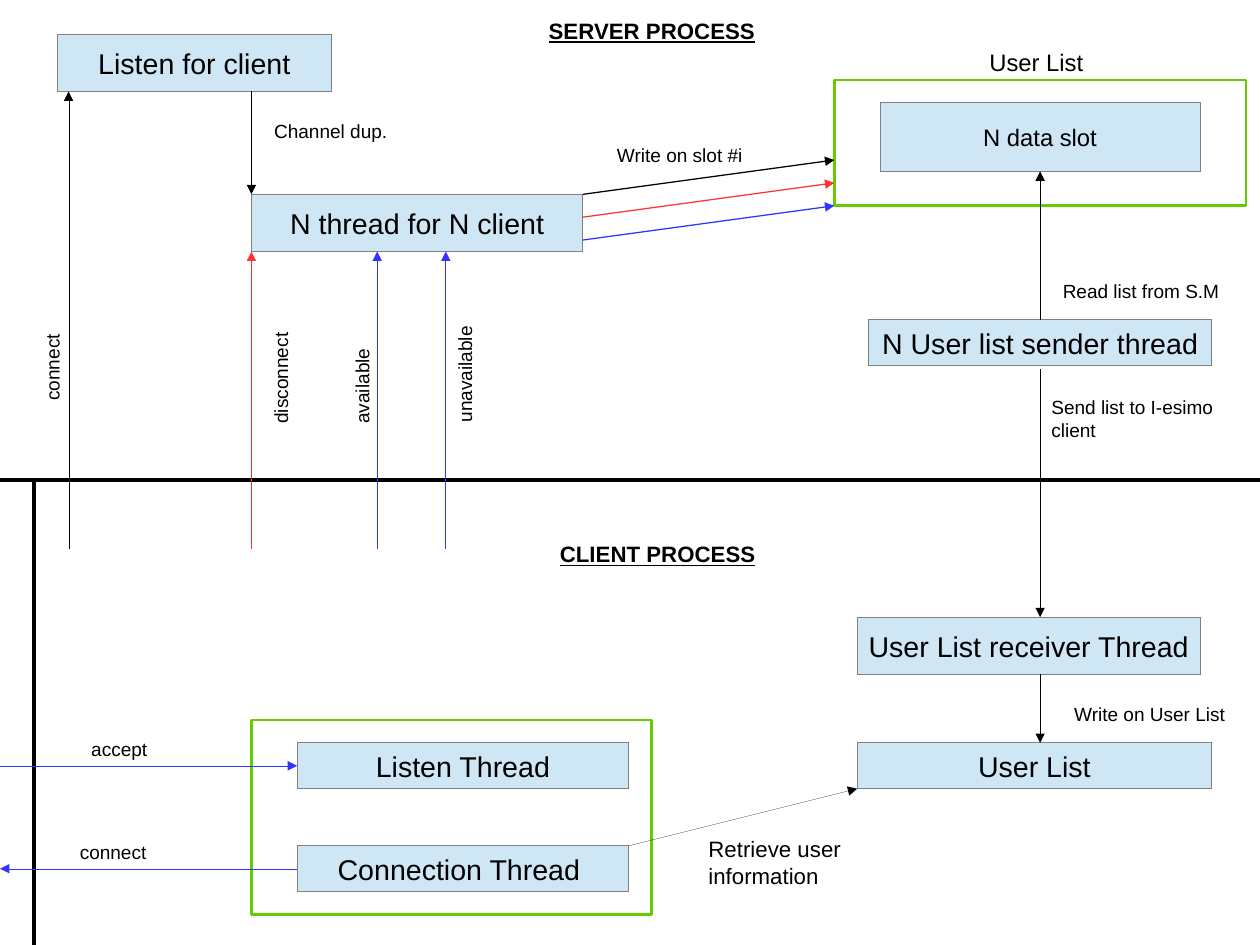
"""Build a one-slide diagram of the server and client processes of a chat system."""
from dataclasses import dataclass

from lxml import etree
from pptx import Presentation
from pptx.dml.color import RGBColor
from pptx.enum.shapes import MSO_CONNECTOR, MSO_SHAPE
from pptx.enum.text import MSO_ANCHOR, MSO_AUTO_SIZE, PP_ALIGN
from pptx.oxml.ns import qn
from pptx.util import Inches, Pt

RECT = MSO_SHAPE.RECTANGLE
STRAIGHT = MSO_CONNECTOR.STRAIGHT
TOP, MIDDLE = MSO_ANCHOR.TOP, MSO_ANCHOR.MIDDLE
LEFT, CENTER = PP_ALIGN.LEFT, PP_ALIGN.CENTER
NO_FIT = MSO_AUTO_SIZE.NONE
SITE_TOP, SITE_LEFT, SITE_BOTTOM = 0, 1, 2
SLIDE_W, SLIDE_H = 28 / 2.54, 21 / 2.54


@dataclass(frozen=True)
class Theme:
    font: str = "Arial"
    black: str = "000000"
    red: str = "FF3333"
    blue: str = "3333FF"
    green: str = "66CC00"
    box_fill: str = "CFE7F5"
    box_line: str = "808080"
    label: int = 12
    heading: int = 14
    slot: int = 15
    box: int = 18
    hairline: float = 0
    thin: float = 0.79
    frame: float = 1.5
    rule: float = 2.3


T = Theme()


def write_text(tf, text, size=T.label, bold=False, align=LEFT, anchor=TOP, inset=0.1):
    tf.word_wrap = True
    tf.auto_size = NO_FIT
    tf.vertical_anchor = anchor
    tf.margin_left = tf.margin_right = Inches(inset)
    tf.margin_top = tf.margin_bottom = Inches(0.05)
    p = tf.paragraphs[0]
    p.alignment = align
    r = p.add_run()
    r.text = text
    r.font.name = T.font
    r.font.size = Pt(size)
    r.font.bold = r.font.underline = bold
    r.font.color.rgb = RGBColor.from_string(T.black)


def add_line(s, points, color=T.black, width=T.hairline, arrow=True):
    line = s.shapes.add_connector(STRAIGHT, *[Inches(v) for v in points])
    line.line.color.rgb = RGBColor.from_string(color)
    ln = line._element.spPr.find(qn("a:ln"))
    ln.set("w", str(int(Pt(width))))
    if arrow:
        etree.SubElement(ln, qn("a:tailEnd"), type="triangle")
    etree.SubElement(line._element.spPr, qn("a:effectLst"))
    return line


prs = Presentation()
prs.slide_width, prs.slide_height = Inches(SLIDE_W), Inches(SLIDE_H)
s = prs.slides.add_slide(prs.slide_layouts[5])

title = s.shapes.title
title.left, title.top, title.width, title.height = [Inches(v) for v in (4.7, 0.1, 2.9, 0.32)]
write_text(title.text_frame, "SERVER PROCESS", size=T.heading, bold=True)

for points in [(0, 4.2, SLIDE_W, 4.2), (0.3, 4.2, 0.3, SLIDE_H)]:
    add_line(s, points, width=T.rule, arrow=False)

for at in [(7.3, 0.7, 3.6, 1.1), (2.2, 6.3, 3.5, 1.7)]:
    frame = s.shapes.add_shape(RECT, *[Inches(v) for v in at])
    frame.shadow.inherit = False
    frame.fill.background()
    frame.line.color.rgb = RGBColor.from_string(T.green)
    frame.line.width = Pt(T.frame)

boxes = {}
for text, at, size in [
    ("Listen for client", (0.5, 0.3, 2.4, 0.5), T.box),
    ("N thread for N client", (2.2, 1.7, 2.9, 0.5), T.box),
    ("N data slot", (7.7, 0.9, 2.8, 0.6), T.slot),
    ("N User list sender thread", (7.6, 2.8, 3, 0.4), T.box),
    ("User List receiver Thread", (7.5, 5.4, 3, 0.5), T.box),
    ("User List", (7.5, 6.5, 3.1, 0.4), T.box),
    ("Listen Thread", (2.6, 6.5, 2.9, 0.4), T.box),
    ("Connection Thread ", (2.6, 7.4, 2.9, 0.4), T.box),
]:
    box = s.shapes.add_shape(RECT, *[Inches(v) for v in at])
    box.shadow.inherit = False
    box.fill.solid()
    box.fill.fore_color.rgb = RGBColor.from_string(T.box_fill)
    box.line.color.rgb = RGBColor.from_string(T.box_line)
    box._element.spPr.find(qn("a:ln")).set("w", str(int(Pt(T.hairline))))
    write_text(box.text_frame, text, size=size, align=CENTER, anchor=MIDDLE, inset=0.05)
    boxes[text.strip()] = box

for text, at, rotation, size, bold in [
    ("CLIENT PROCESS", (4.8, 4.68, 2, 0.32), 0, T.heading, True),
    (" User List", (8.5, 0.37, 2.7, 0.33), 0, T.slot, False),
    ("Channel dup.", (2.3, 1, 1.2, 0.29), 0, T.label, False),
    ("Write on slot #i", (5.3, 1.21, 1.6, 0.49), 0, T.label, False),
    ("Read list from S.M", (9.2, 2.4, 1.7, 0.47), 0, T.label, False),
    ("Send list to I-esimo client", (9.1, 3.41, 1.8, 0.48), 0, T.label, False),
    ("Write on User List", (9.3, 6.1, 1.6, 0.3), 0, T.label, False),
    ("Retrieve user information", (6.1, 7.26, 1.4, 0.54), 0, T.heading, False),
    ("accept", (0.7, 6.4, 1.3, 0.29), 0, T.label, False),
    ("connect", (0.6, 7.3, 1.3, 0.29), 0, T.label, False),
    ("connect", (0, 3.01, 0.9, 0.29), 270, T.label, False),
    ("disconnect", (1.8, 3.01, 1.3, 0.29), 270, T.label, False),
    ("available", (2.71, 3.21, 0.9, 0.29), 270, T.label, False),
    ("unavailable", (3.6, 3.01, 1.1, 0.47), 270, T.label, False),
]:
    label = s.shapes.add_textbox(*[Inches(v) for v in at])
    label.rotation = rotation
    write_text(label.text_frame, text, size=size, bold=bold)

for i, color in enumerate([T.black, T.red, T.blue]):
    add_line(s, (5.1, 1.7 + 0.2 * i, 7.3, 1.4 + 0.2 * i), color, T.thin)

for x, top, color, width in [
    (0.6, 0.8, T.black, T.hairline),
    (2.2, 2.2, T.red, T.hairline),
    (3.3, 2.2, T.blue, T.thin),
    (3.9, 2.2, T.blue, T.thin),
]:
    add_line(s, (x, 4.8, x, top), color, width)

for points in [
    (2.2, 0.8, 2.2, 1.7),
    (9.1, 3.23, 9.1, 5.4),
    (9.1, 5.9, 9.1, 6.5),
    (5.5, 7.4, 7.5, 6.9),
]:
    add_line(s, points)

read_list = add_line(s, (9.1, 2.8, 9.1, 1.5))
read_list.begin_connect(boxes["N User list sender thread"], SITE_TOP)
read_list.end_connect(boxes["N data slot"], SITE_BOTTOM)

accept = add_line(s, (0, 6.7, 2.6, 6.7), T.blue)
accept.end_connect(boxes["Listen Thread"], SITE_LEFT)

connect = add_line(s, (2.6, 7.6, 0, 7.6), T.blue)
connect.begin_connect(boxes["Connection Thread"], SITE_LEFT)

prs.save("out.pptx")
